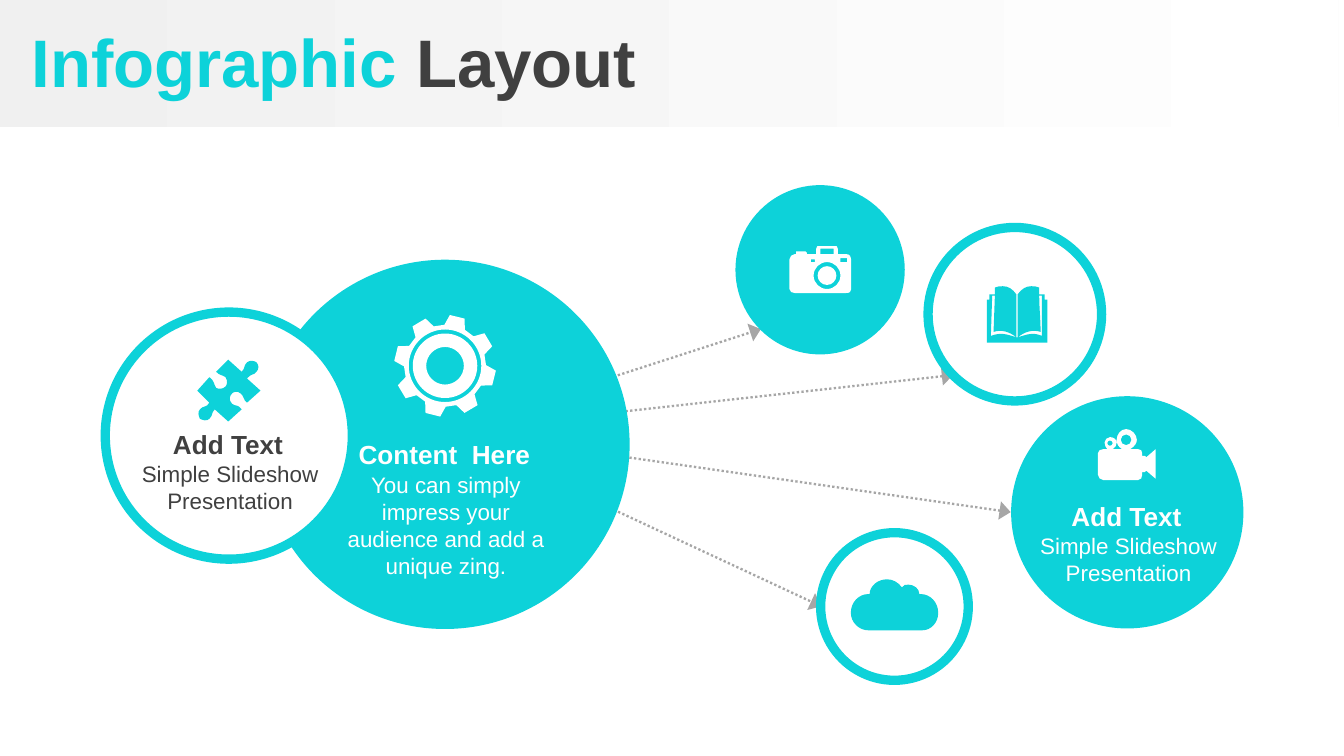
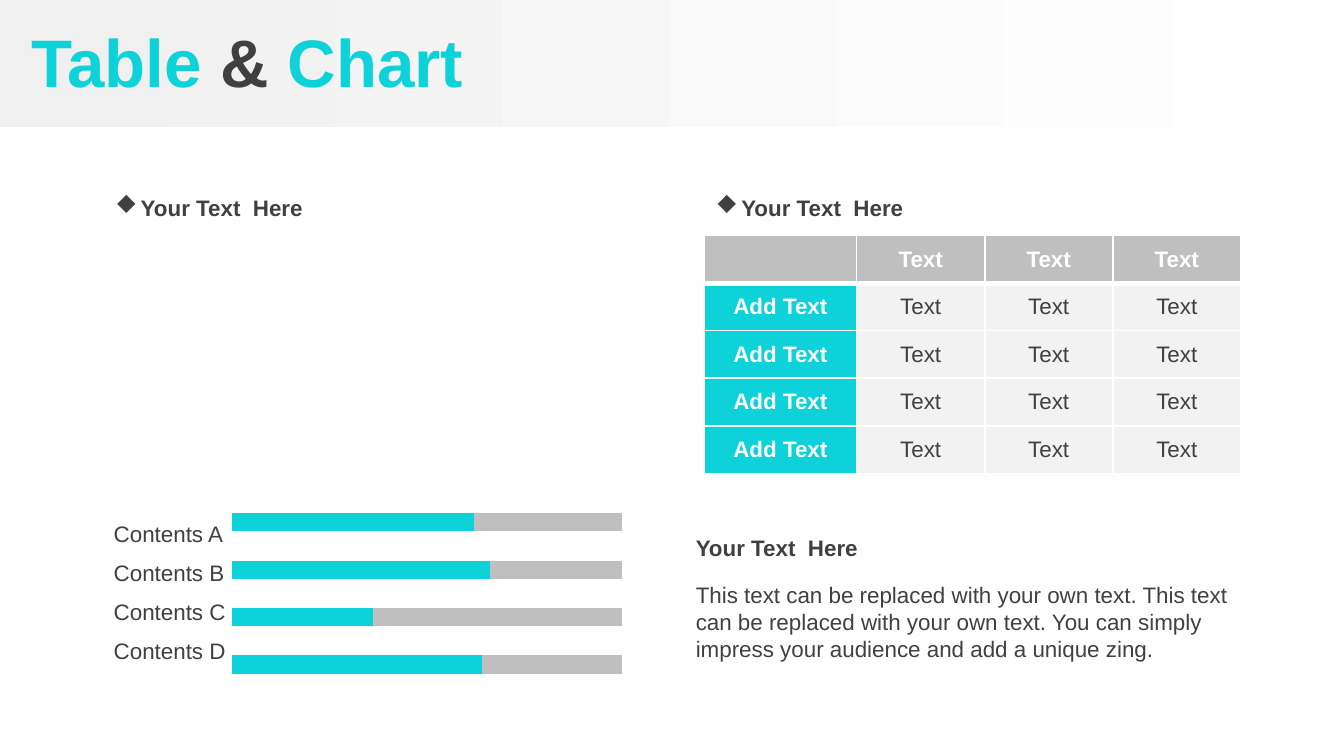
"""Build an infographic slide and a table and chart slide."""
from math import cos, radians, sin

from lxml.etree import SubElement
from pptx import Presentation
from pptx.chart.data import CategoryChartData as Data
from pptx.dml.color import RGBColor
from pptx.enum.chart import XL_CHART_TYPE as Kind
from pptx.enum.dml import MSO_LINE as Dash
from pptx.enum.shapes import MSO_CONNECTOR as Conn, MSO_SHAPE as Geo
from pptx.enum.text import MSO_ANCHOR as Anchor, MSO_AUTO_SIZE as Auto, PP_ALIGN as Align
from pptx.oxml.ns import qn
from pptx.util import Cm, Pt

AQUA = RGBColor(0x0D, 0xD2, 0xD9)
DARK = RGBColor(0x40, 0x40, 0x40)
WHITE = RGBColor(0xFF, 0xFF, 0xFF)
ARROW = RGBColor(0xA6, 0xA6, 0xA6)
GREY = RGBColor(0xBF, 0xBF, 0xBF)
PALE = RGBColor(0xF2, 0xF2, 0xF2)
MIST = RGBColor(0xF0, 0xF0, 0xF0)
FONT = "Arial"
UNIT = Cm(0.0254)
FINE = 10
STEPS = {"M": ("moveTo", 2), "L": ("lnTo", 2), "C": ("cubicBezTo", 6)}

CAMERA = """O 28 22 7 O 28 22 10 M 16 10 L 16 12 19 12 19 10 Z
M 38 9 L 38 12 43 12 43 9 Z M 23 2 L 23 6 33 6 33 2 Z
M 21 0 L 35 0 C 35 0 36 1 36 2 L 36 6 42 6 C 45 6 46 8 46 10 L 46 32
C 46 34 45 35 42 35 L 4 35 C 2 35 0 34 0 32 L 0 10 C 0 8 2 6 4 6
L 5 6 5 5 C 5 4 5 4 5 4 L 12 4 C 12 4 13 4 13 5 L 13 6 20 6 20 2
C 20 1 21 0 21 0 Z"""
FILM = """O 9 10.5 2 O 21 8 4 M 21 0 C 25 0 29 4 29 8 29 11 27 13 24 15
L 30 15 C 32 15 33 16 33 18 L 33 20 35 20 C 36 20 36 20 36 21
L 43 15 43 37 36 31 C 36 32 36 32 35 32 L 33 32 33 34
C 33 36 32 38 30 38 L 4 38 C 2 38 0 36 0 34 L 0 18 C 0 16 2 15 4 15
L 7 15 C 6 14 5 12 5 10 5 8 7 6 9 6 12 6 14 8 14 10 14 12 13 14 11 15
L 18 15 C 15 13 14 11 14 8 14 4 17 0 21 0 Z"""
CLOUD = """M 27 0 C 31 0 35 2 38 6 39 4 41 4 43 4 47 4 51 7 51 11
52 11 52 11 52 11 59 11 65 17 65 25 65 32 60 38 53 38 L 13 38
C 6 38 0 32 0 25 0 17 6 11 13 11 L 14 11 C 14 5 20 0 27 0 Z"""
PUZZLE = """M 44 2 C 46 4 46 7 44 9 42 12 40 10 37 14 L 47 23 37 32
C 34 30 35 27 32 25 30 23 27 24 26 25 24 27 23 30 26 33 29 35 30 33 33 37
L 23 46 13 37 C 10 40 12 41 9 44 7 46 4 45 2 44 1 42 0 39 2 37
4 34 7 36 9 32 L 0 23 9 13 C 13 16 12 18 14 21 16 22 19 22 21 20
22 19 23 16 21 13 18 11 17 12 14 9 L 23 0 33 9 C 36 6 34 5 37 2 39 0 43 1 44 2 Z"""
BOOK = """M 22 38 C 22 38 23 38 23 38 L 23 38 C 30 36 34 34 41 37 L 41 7 39 7
C 39 16 40 25 40 34 34 32 28 34 23 38 L 23 7 23 6
C 26 2 29 0 33 0 35 0 37 0 39 1 39 3 39 4 39 6
L 43 6 43 10 45 10 45 42 0 42 0 10 2 10 2 6 6 6
C 6 4 6 3 6 1 8 0 10 0 12 0 16 0 19 2 22 6 L 22 7 22 38
C 17 34 11 32 5 34 L 6 7 4 7 3 37 C 11 34 15 36 22 38 Z"""


def ring(x, y, r):
    """Return the steps of a circle made of four curves."""
    k = 0.55 * r
    arcs = ((x + r, y + k, x + k, y + r, x, y + r), (x - k, y + r, x - r, y + k, x - r, y),
            (x - r, y - k, x - k, y - r, x, y - r), (x + k, y - r, x + r, y - k, x + r, y))
    return [("M", (x + r, y))] + [("C", arc) for arc in arcs] + [("Z", ())]


def gear(x=37.5, y=38, teeth=8):
    """Return the outline code of a gear with a ring and a hub."""
    spots = []
    for i in range(teeth):
        for off, far in ((-15, 30.5), (-8.5, 38), (8.5, 38), (15, 30.5)):
            turn = radians(14 + i * 360 / teeth + off)
            spots.append(f"{x + far * sin(turn)} {y - far * cos(turn)}")
    rings = " ".join(f"O {x} {y} {r}" for r in (14, 24, 27))
    return f"{rings} M {spots[0]} L {' '.join(spots[1:])} Z"


def trace(code):
    """Turn outline code into steps of a mark and its numbers."""
    steps, mark, nums = [], "", []
    for word in code.split():
        if word == "Z":
            steps.append(("Z", ()))
        elif word.isalpha():
            mark = word
        else:
            nums.append(float(word))
            if mark == "O" and len(nums) == 3:
                steps += ring(*nums)
                nums = []
            elif mark != "O" and len(nums) == STEPS[mark][1]:
                steps.append((mark, tuple(nums)))
                nums = []
    return steps


def write(para, text, size=12, color=DARK, bold=False, align=Align.LEFT):
    """Add a formatted run to a paragraph."""
    para.alignment = align
    if not text:
        SubElement(para._p, qn("a:endParaRPr")).set("sz", str(size * 100))
        return
    run = para.add_run()
    run.text = text
    font = run.font
    font.name, font.size, font.bold = FONT, Pt(size), bold
    font.color.rgb = color


class Deck:
    """Hold the style and the current slide."""

    def __init__(self):
        """Set the slide size and the layout."""
        self.prs = Presentation()
        self.prs.slide_width, self.prs.slide_height = Cm(25.4), Cm(14.29)
        self.plan = self.prs.slide_layouts[5]
        self.slide = None

    def page(self, *parts):
        """Start a slide whose title has runs of (text, color)."""
        first = self.slide is None
        self.slide = self.prs.slides.add_slide(self.plan)
        self.shapes = self.slide.shapes
        if first:
            self.band()
        head = self.shapes.title
        head.left, head.top, head.width, head.height = Cm(-0.01), Cm(0.06), Cm(25.4), Cm(2.16)
        frame = head.text_frame
        frame.vertical_anchor, frame.auto_size = Anchor.MIDDLE, Auto.NONE
        for text, color in parts:
            write(frame.paragraphs[0], text, size=36, color=color, bold=True)

    def band(self):
        """Put the header band on the layout."""
        bar = self.shapes.add_shape(Geo.RECTANGLE, 0, 0, Cm(25.3), Cm(2.4))
        bar.shadow.inherit = False
        bar.line.fill.background()
        bar.fill.gradient()
        bar.fill.gradient_angle = 0
        for stop, color in zip(bar.fill.gradient_stops, (MIST, WHITE)):
            stop.color.rgb = color
        self.plan.shapes.element.insert(2, bar.element)

    def text(self, x, y, wide, high, text, bullet=None, **form):
        """Add a text box."""
        box = self.shapes.add_textbox(Cm(x), Cm(y), Cm(wide), Cm(high))
        frame = box.text_frame
        frame.word_wrap, frame.auto_size = True, Auto.SHAPE_TO_FIT_TEXT
        para = frame.paragraphs[0]
        write(para, text, **form)
        if bullet:
            props = para._p.get_or_add_pPr()
            props.set("marL", str(Cm(0.48)))
            props.set("indent", str(-Cm(0.48)))
            SubElement(props, qn("a:buFont")).set("typeface", "Wingdings")
            SubElement(props, qn("a:buChar")).set("char", bullet)

    def disc(self, x, y, size, hollow=False):
        """Add a filled or an outlined circle."""
        disc = self.shapes.add_shape(Geo.OVAL, Cm(x), Cm(y), Cm(size), Cm(size))
        disc.shadow.inherit = False
        disc.fill.solid()
        disc.fill.fore_color.rgb = WHITE if hollow else AQUA
        if hollow:
            disc.line.color.rgb, disc.line.width = AQUA, Pt(5)
        else:
            disc.line.fill.background()

    def arrow(self, x, y, to_x, to_y):
        """Add a dotted arrow."""
        link = self.shapes.add_connector(Conn.STRAIGHT, Cm(x), Cm(y), Cm(to_x), Cm(to_y))
        line = link.line
        line.color.rgb, line.width, line.dash_style = ARROW, Pt(1.25), Dash.ROUND_DOT
        SubElement(line._get_or_add_ln(), qn("a:tailEnd"), type="triangle", w="lg", len="med")
        SubElement(link.element.spPr, qn("a:effectLst"))

    def icon(self, x, y, code, color):
        """Add a curved icon from outline code."""
        steps = [(mark, [round(n * FINE) for n in nums]) for mark, nums in trace(code)]
        ends = [nums[-2:] for _, nums in steps if nums]
        left, top = (min(end[a] for end in ends) for a in (0, 1))
        pen = self.shapes.build_freeform(*ends[0], scale=UNIT / FINE)
        pen.add_line_segments(ends[1:], close=True)
        icon = pen.convert_to_shape(Cm(x), Cm(y))
        track = next(icon.element.iter(qn("a:path")))
        for item in list(track):
            track.remove(item)
        for mark, nums in steps:
            item = SubElement(track, qn("a:" + (STEPS[mark][0] if nums else "close")))
            for a, b in zip(nums[::2], nums[1::2]):
                SubElement(item, qn("a:pt"), x=str(a - left), y=str(b - top))
        icon.shadow.inherit = False
        icon.fill.solid()
        icon.fill.fore_color.rgb = color
        icon.line.fill.background()

    def table(self, x, y, wides, high, rows):
        """Add a table with a header row and a header column."""
        frame = self.shapes.add_table(len(rows), len(wides), Cm(x), Cm(y),
                                      Cm(sum(wides)), Cm(high * len(rows)))
        grid = frame.table
        grid.horz_banding = False
        for col, wide in zip(grid.columns, wides):
            col.width = Cm(wide)
        for r, row in enumerate(rows):
            grid.rows[r].height = Cm(high)
            for c, text in enumerate(row):
                cell = grid.cell(r, c)
                self.edge(cell, top=3 if r == 1 else 1, base=3 if r == 0 else 1)
                cell.fill.solid()
                cell.fill.fore_color.rgb = GREY if r == 0 else AQUA if c == 0 else PALE
                cell.vertical_anchor = Anchor.MIDDLE
                head = r == 0 or c == 0
                write(cell.text_frame.paragraphs[0], text, bold=head,
                      color=WHITE if head else DARK, align=Align.CENTER)

    def edge(self, cell, top, base):
        """Give a cell white borders."""
        props = cell._tc.get_or_add_tcPr()
        for tag, wide in (("lnL", 1), ("lnR", 1), ("lnT", top), ("lnB", base)):
            line = SubElement(props, qn(f"a:{tag}"), w=str(Pt(wide)))
            fill = SubElement(line, qn("a:solidFill"))
            SubElement(fill, qn("a:srgbClr"), val=str(WHITE))

    def bars(self, x, y, wide, high, cats, series):
        """Add a stacked bar chart with series of (name, values, color)."""
        data = Data()
        data.categories = cats
        for name, vals, _ in series:
            data.add_series(name, vals)
        chart = self.shapes.add_chart(Kind.BAR_STACKED_100, Cm(x), Cm(y),
                                      Cm(wide), Cm(high), data).chart
        chart.has_legend = chart.has_title = False
        chart.font.name, chart.font.size = FONT, Pt(18)
        chart.font.color.rgb = RGBColor(0, 0, 0)
        chart.value_axis.has_major_gridlines = False
        chart.value_axis.visible = chart.category_axis.visible = False
        plot = chart.plots[0]
        plot.gap_width, plot.overlap, plot.vary_by_categories = 157, 100, False
        for bar, (_, _, color) in zip(plot.series, series):
            bar.format.fill.solid()
            bar.format.fill.fore_color.rgb = color


def layout(deck):
    """Draw the infographic slide."""
    deck.page((" Infographic ", AQUA), ("Layout", DARK))
    for end in ((14.38, 6.22), (18.01, 7.09), (19.1, 9.68), (15.52, 11.46)):
        deck.arrow(8.41, 8.15, *end)
    for x, y, size, hollow in ((4.92, 4.91, 6.98, False), (1.99, 5.9, 4.67, True),
                               (13.9, 3.5, 3.2, False), (17.54, 4.3, 3.28, True),
                               (15.51, 10.07, 2.79, True), (19.11, 7.49, 4.39, False)):
        deck.disc(x, y, size, hollow)
    short = "Simple Slideshow Presentation"
    long = "You can simply impress your audience and add a unique zing."
    for x, y, wide, slip, gap, high, head, body, color in (
            (1.92, 7.98, 4.78, 0.04, 0.59, 1.27, "Add Text", short, DARK),
            (6.21, 8.17, 4.38, 0.03, 0.62, 2.31, "Content  Here", long, WHITE),
            (18.9, 9.33, 4.78, 0.04, 0.6, 1.27, "Add Text", short, WHITE)):
        deck.text(x, y, wide, 0.86, head, size=14, bold=True, color=color, align=Align.CENTER)
        deck.text(x + slip, y + gap, wide, high, body, color=color, align=Align.CENTER)
    for x, y, code, color in ((7.46, 5.95, gear(), WHITE), (14.92, 4.65, CAMERA, WHITE),
                              (20.75, 8.11, FILM, WHITE), (16.08, 10.95, CLOUD, AQUA),
                              (3.73, 6.8, PUZZLE, AQUA), (18.65, 5.41, BOOK, AQUA)):
        deck.icon(x, y, code, color)


def figures(deck):
    """Draw the table and chart slide."""
    deck.page((" Table ", AQUA), ("& ", DARK), ("Chart", AQUA))
    for x in (1.93, 13.28):
        deck.text(x, 3.54, 4.62, 0.76, "Your Text  Here", bullet="u", bold=True)
    rows = [[""] + ["Text"] * 3] + [["Add Text"] + ["Text"] * 3] * 4
    deck.table(13.31, 4.45, [2.88] + [2.42] * 3, 0.9, rows)
    for i, mark in enumerate("ABCD"):
        deck.text(1.9, 9.7 + 0.74 * i, 2.8, 0.76, f"Contents {mark}")
    deck.bars(4.24, 9.35, 7.67, 3.74, ("1", "2", "3", "4"),
              (("Series 1", (64, 36, 66, 62), AQUA), ("Series 2", (36, 64, 34, 38), GREY)))
    deck.text(12.9, 9.98, 10.69, 0.76, "Your Text  Here", bold=True)
    deck.text(12.9, 10.86, 10.69, 1.8,
              "This text can be replaced with your own text. This text can be replaced with "
              "your own text. You can simply impress your audience and add a unique zing.")


deck = Deck()
layout(deck)
figures(deck)
deck.prs.save("out.pptx")
